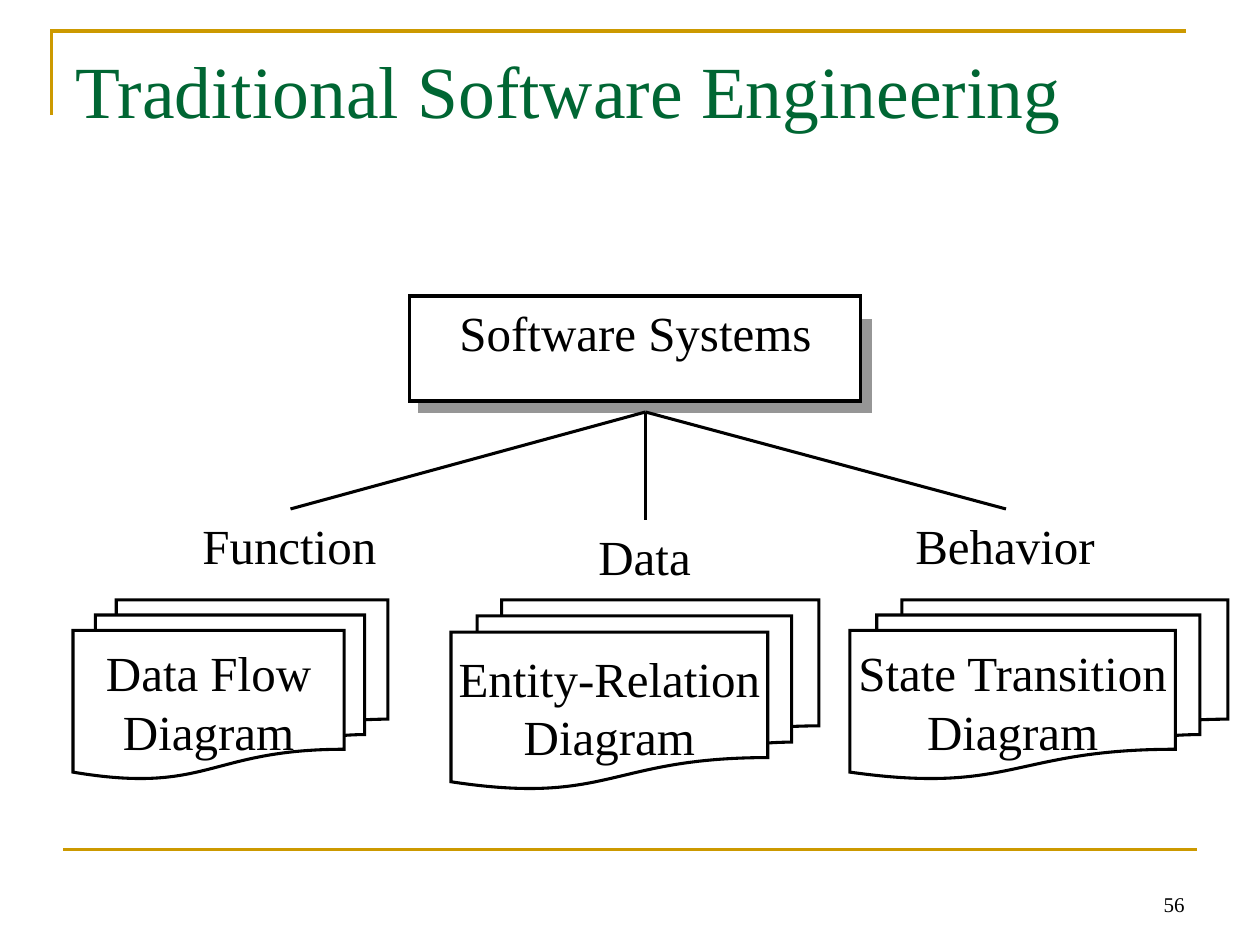
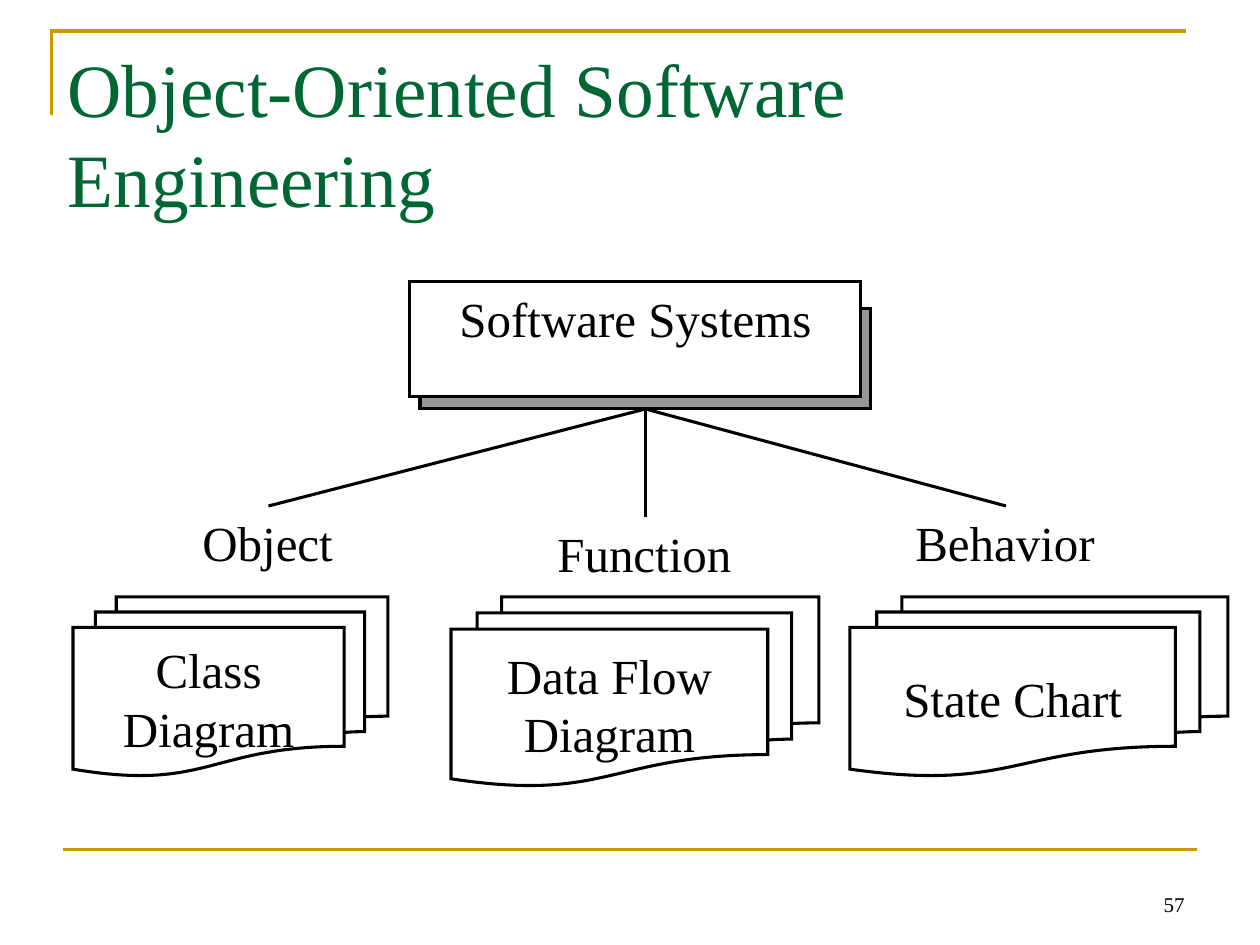
from pptx import Presentation
from pptx.dml.color import RGBColor
from pptx.enum.shapes import MSO_CONNECTOR as Conn, MSO_SHAPE as Kind
from pptx.enum.text import MSO_ANCHOR as Anchor, MSO_AUTO_SIZE as Fit, PP_ALIGN as Align
from pptx.oxml import parse_xml
from pptx.oxml.ns import nsdecls, qn
from pptx.util import Pt

PX = 914400 / 126
FONT = "Times New Roman"
GOLD = RGBColor(0xCC, 0x99, 0x00)
GREEN = RGBColor(0x00, 0x66, 0x33)
GREY = RGBColor(0x96, 0x96, 0x96)
BLACK = RGBColor(0x00, 0x00, 0x00)
WHITE = RGBColor(0xFF, 0xFF, 0xFF)

# Left, width and height of the three document stacks
STACKS = [(73, 315, 179), (451, 368, 189), (850, 378, 179)]
# Label widths follow the words
WIDTHS = {"Data": 119, "Function": 201, "Behavior": 206, "Object": 157}
BOX_X, BOX_W, SHIFT = 410, 451, 10
MID = BOX_X + SHIFT + BOX_W / 2

SLIDES = [
    dict(number=56, title="Traditional Software Engineering",
         place=(63, 39, 1134, 158), size=42,
         front=(296, 105), back=(321, 91), edge=GREY, label_y=509, stack_y=600,
         labels=["Function", "Data", "Behavior"],
         docs=["Data Flow\nDiagram", "Entity-Relation\nDiagram",
               "State Transition\nDiagram"]),
    dict(number=57, title="Object-Oriented Software Engineering",
         place=(55, 36, 1111, 169), size=43,
         front=(282, 115), back=(309, 100), edge=BLACK, label_y=506, stack_y=597,
         labels=["Object", "Function", "Behavior"],
         docs=["Class\nDiagram", "Data Flow\nDiagram", "State Chart"]),
]


def emu(*px):
    return [round(v * PX) for v in px]


def write(shape, text, size=28, color=BLACK, align=Align.LEFT, **frame):
    """Put text in a shape; frame holds text frame settings."""
    body = shape.text_frame
    body.text = text
    look = dict(word_wrap=True, auto_size=Fit.NONE, vertical_anchor=Anchor.TOP)
    for key, value in {**look, **frame}.items():
        setattr(body, key, value)
    for para in body.paragraphs:
        para.alignment = align
        for key, value in dict(name=FONT, size=Pt(size)).items():
            setattr(para.font, key, value)
        para.font.color.rgb = color


def stroke(shape, color):
    """Give a shape a solid outline with sharp corners."""
    shape.line.color.rgb = color
    shape.line.width = Pt(1.75)
    miter = parse_xml(f'<a:miter {nsdecls("a")} lim="800000"/>')
    shape._element.spPr.find(qn("a:ln")).append(miter)


def add_block(slide, kind, place, edge=BLACK, fill=None):
    block = slide.shapes.add_shape(kind, *emu(*place))
    block.shadow.inherit = False
    if fill is None:
        block.fill.background()
    else:
        block.fill.solid()
        block.fill.fore_color.rgb = fill
    stroke(block, edge)
    return block


def add_text(slide, place, text, **look):
    box = slide.shapes.add_textbox(*emu(*place))
    write(box, text, **look)
    return box


def add_line(slide, ends=(0, 0, 0, 0), color=BLACK):
    line = slide.shapes.add_connector(Conn.STRAIGHT, *emu(*ends))
    stroke(line, color)
    line._element.spPr.append(parse_xml(f"<a:effectLst {nsdecls('a')}/>"))
    return line


def add_frame(slide, number):
    # Gold corner above the title
    pen = slide.shapes.build_freeform(52, 115, scale=PX)
    pen.add_line_segments([(52, 31), (1186, 31)], close=False)
    corner = pen.convert_to_shape()
    corner.shadow.inherit = False
    corner.fill.background()
    stroke(corner, GOLD)
    # Footer rule and page number
    add_line(slide, (63, 850, 1197, 850), GOLD)
    add_text(slide, (903, 860, 294, 63), str(number), size=12,
             align=Align.RIGHT, vertical_anchor=Anchor.BOTTOM)


def add_title(slide, text, place, size):
    title = slide.shapes.title
    title.left, title.top, title.width, title.height = emu(*place)
    write(title, text, size=size, color=GREEN)


def add_root(slide, front, back, edge):
    """Draw the top box over its offset backing; return the backing."""
    under = add_block(slide, Kind.RECTANGLE,
                      (BOX_X + SHIFT, back[0], BOX_W, back[1]), edge, GREY)
    box = add_block(slide, Kind.RECTANGLE,
                    (BOX_X, front[0], BOX_W, front[1]), fill=WHITE)
    write(box, "Software Systems", align=Align.CENTER)
    return under


def add_branch(slide, root, text, left, top):
    label = add_text(slide, (left, top, WIDTHS[text], 72), text,
                     word_wrap=False, auto_size=Fit.SHAPE_TO_FIT_TEXT)
    line = add_line(slide)
    line.begin_connect(label, 0)
    line.end_connect(root, 2)


def add_stack(slide, text, place):
    stack = add_block(slide, Kind.FLOWCHART_MULTIDOCUMENT, place)
    write(stack, text, align=Align.CENTER, word_wrap=False,
          vertical_anchor=Anchor.MIDDLE)


def build(deck, page):
    slide = deck.slides.add_slide(deck.slide_layouts[5])
    add_frame(slide, page["number"])
    add_title(slide, page["title"], page["place"], page["size"])
    root = add_root(slide, page["front"], page["back"], page["edge"])
    # The middle label hangs centred and a little lower
    y = page["label_y"]
    lefts = [190, MID - WIDTHS[page["labels"][1]] / 2, 903]
    for text, left, drop in zip(page["labels"], lefts, (0, 11, 0)):
        add_branch(slide, root, text, left, y + drop)
    for text, (left, width, height) in zip(page["docs"], STACKS):
        add_stack(slide, text, (left, page["stack_y"], width, height))


def main():
    deck = Presentation()
    deck.slide_width, deck.slide_height = emu(1260, 945)
    for page in SLIDES:
        build(deck, page)
    deck.save("out.pptx")


if __name__ == "__main__":
    main()
